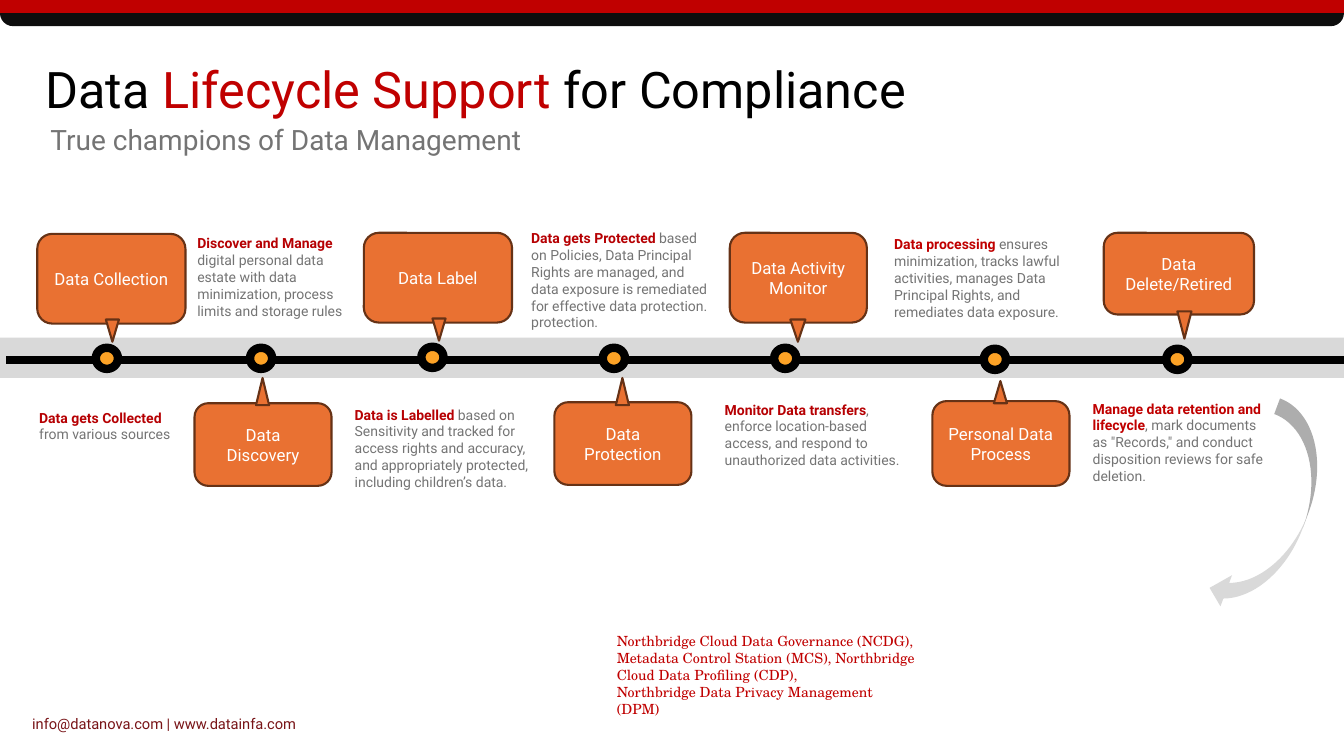
from dataclasses import dataclass
from typing import NamedTuple

from lxml import etree
from pptx import Presentation
from pptx import util as u
from pptx.dml.color import RGBColor
from pptx.enum import shapes, text
from pptx.oxml import ns

# Grid: square cells, ten to the inch
CELL = u.Inches(0.1)
COLUMNS, ROWS = 133.33, 75

BLACK = RGBColor(0x00, 0x00, 0x00)
CHARCOAL = RGBColor(0x0D, 0x0D, 0x0D)
WHITE = RGBColor(0xFF, 0xFF, 0xFF)
RED = RGBColor(0xC0, 0x00, 0x00)
DEEP_RED = RGBColor(0xB6, 0x00, 0x03)
MAROON = RGBColor(0x78, 0x14, 0x17)
GREY = RGBColor(0x74, 0x74, 0x74)
SILVER = RGBColor(0xD9, 0xD9, 0xD9)
ORANGE = RGBColor(0xE9, 0x71, 0x32)
BROWN = RGBColor(0x66, 0x32, 0x16)
AMBER = RGBColor(0xFC, 0xA2, 0x26)

SANS, SERIF = "Roboto", "TeX Gyre Schola"
PRESET = shapes.MSO_SHAPE
MARKER_WIDTH, MARKER_HEIGHT = 2.2, 2.1


class Area(NamedTuple):
    """Left, top, width and height in grid cells."""
    left: float
    top: float
    width: float
    height: float

    def lengths(self) -> list[int]:
        return [round(value * CELL) for value in self]


class Span(NamedTuple):
    words: str
    color: RGBColor
    bold: bool = False


@dataclass
class Stage:
    name: str
    label: Area
    tip: Area
    marker_left: float
    marker_top: float = 34.5

    @property
    def above(self) -> bool:
        return self.label.top < 33.5


@dataclass
class Note:
    area: Area
    lead: str
    rest: str
    lead_color: RGBColor = DEEP_RED
    inset: bool = False


STAGES = [
    Stage("Data Collection", Area(3.7, 23.2, 14.7, 8.9), Area(10.5, 31.7, 1.3, 2.2), 9.5),
    Stage("Data Discovery", Area(19.3, 40, 13.6, 8.2), Area(25.4, 37.5, 1.3, 2.7), 24.8),
    Stage("Data Label", Area(36.1, 23.1, 14.7, 8.9), Area(42.9, 31.6, 1.3, 2.2), 41.8, 34.4),
    Stage("Data Protection", Area(55, 39.9, 13.6, 8.2), Area(61.1, 37.5, 1.3, 2.7), 59.8),
    Stage("Data Activity Monitor", Area(72.4, 23.1, 13.6, 8.9), Area(78.4, 31.7, 1.5, 2.2), 76.8),
    Stage("Personal Data Process", Area(92.5, 39.8, 13.6, 8.4), Area(98.6, 37.8, 1.3, 2.2), 97.6, 34.6),
    Stage("Data Delete/Retired", Area(109.5, 23.1, 14.9, 8.1), Area(116.8, 30.9, 1.4, 2.7), 115.7, 34.6),
]

NOTES = [
    Note(Area(2.9, 40.1, 16.5, 4.4), "Data gets Collected ", "from various sources", inset=True),
    Note(Area(18.6, 22.8, 17.6, 9.4), "Discover and Manage ",
         "digital personal data estate with data minimization, process limits and storage rules",
         inset=True),
    Note(Area(34.2, 39.8, 19.9, 9.4), "Data is Labelled ",
         "based on Sensitivity and tracked for access rights and accuracy, "
         "and appropriately protected, including children’s data.", inset=True),
    Note(Area(52.7, 22.8, 17.7, 10.1), "Data gets Protected ",
         "based on Policies, Data Principal Rights are managed, and data exposure "
         "is remediated for effective data protection. protection."),
    Note(Area(71.9, 39.8, 17.6, 6.7), "Monitor Data transfers",
         ", enforce location-based access, and respond to unauthorized data activities."),
    Note(Area(88.7, 23.4, 18.1, 8.4), "Data processing ",
         "ensures minimization, tracks lawful activities, manages Data Principal Rights, "
         "and remediates data exposure.", RED),
    Note(Area(108.4, 39.7, 17.6, 8.4), "Manage data retention and lifecycle",
         ", mark documents as \"Records,\" and conduct disposition reviews for safe deletion.", RED),
]


def set_all(target: object, values: dict) -> None:
    for name, value in values.items():
        setattr(target, name, value)


def write(para, spans: list[Span], size: float, face: str = SANS) -> None:
    for span in spans:
        run = para.add_run()
        run.text = span.words
        set_all(run.font, {"size": u.Pt(size), "name": face, "bold": span.bold})
        run.font.color.rgb = span.color


def add_block(page, area: Area, paragraphs: list[list[Span]], size: float,
              face: str = SANS, inset: bool = False, spacing=None) -> None:
    frame = page.shapes.add_textbox(*area.lengths()).text_frame
    frame.word_wrap = True
    if not inset:
        set_all(frame, dict.fromkeys(
            ("margin_left", "margin_top", "margin_right", "margin_bottom"), 0))
    for index, spans in enumerate(paragraphs):
        para = frame.add_paragraph() if index else frame.paragraphs[0]
        para.line_spacing = spacing
        write(para, spans, size, face)


def add_form(page, preset, area: Area, fill: RGBColor, line: RGBColor | None = None,
             weight: float = 1.5, rotation: float = 0):
    form = page.shapes.add_shape(preset, *area.lengths())
    set_all(form, {"rotation": rotation})
    form.shadow.inherit = False
    form.fill.solid()
    form.fill.fore_color.rgb = fill
    if line is None:
        form.line.fill.background()
    else:
        form.line.color.rgb = line
        form.line.width = u.Pt(weight)
    return form


def add_spine(page, left: float, right: float, row: float) -> None:
    start, level, end = (round(value * CELL) for value in (left, row, right))
    spine = page.shapes.add_connector(shapes.MSO_CONNECTOR.STRAIGHT, start, level, end, level)
    spine.line.color.rgb = BLACK
    spine.line.width = u.Pt(6)
    etree.SubElement(spine._element.spPr, ns.qn("a:effectLst"))


def add_stage(page, stage: Stage) -> None:
    marker = Area(stage.marker_left, stage.marker_top, MARKER_WIDTH, MARKER_HEIGHT)
    add_form(page, PRESET.OVAL, marker, AMBER, BLACK, 6)
    box = add_form(page, PRESET.ROUNDED_RECTANGLE, stage.label, ORANGE, BROWN)
    set_all(box.text_frame, {"word_wrap": True, "vertical_anchor": text.MSO_ANCHOR.MIDDLE})
    para = box.text_frame.paragraphs[0]
    para.alignment = text.PP_ALIGN.CENTER
    write(para, [Span(stage.name, WHITE)], 12)
    add_form(page, PRESET.ISOSCELES_TRIANGLE, stage.tip, ORANGE, BROWN,
             rotation=180 if stage.above else 0)


def main() -> None:
    deck = Presentation()
    set_all(deck, {"slide_width": round(COLUMNS * CELL), "slide_height": ROWS * CELL})
    page = deck.slides.add_slide(deck.slide_layouts[6])

    # Top band and footer
    band = add_form(page, PRESET.ROUNDED_RECTANGLE, Area(0, 0, COLUMNS, 2.6), CHARCOAL)
    band.adjustments[0] = 0.5
    add_form(page, PRESET.FLOWCHART_PROCESS, Area(0, 0, COLUMNS, 1.3), RED)
    add_block(page, Area(3.2, 69.5, 53.7, 2.8),
              [[Span("info@datanova.com | www.datainfa.com", MAROON)]], 10.5, spacing=u.Pt(22.9))

    # Headings
    add_block(page, Area(4.5, 6.4, 115, 5.9),
              [[Span("Data ", BLACK), Span("Lifecycle Support ", RED),
                Span("for Compliance", BLACK)]], 36, spacing=0.9)
    add_block(page, Area(5, 12.5, 70.9, 3.6),
              [[Span("True champions of Data Management", GREY)]], 20, spacing=0.9)

    # Timeline
    add_form(page, PRESET.RECTANGLE, Area(0, 33.5, COLUMNS, 4), SILVER)
    add_spine(page, 0.6, COLUMNS, 35.7)
    for stage in STAGES:
        add_stage(page, stage)
    for note in NOTES:
        add_block(page, note.area, [[Span(note.lead, note.lead_color, True),
                                     Span(note.rest, GREY)]], 10, inset=note.inset)

    # Return arrow and tool list
    add_form(page, PRESET.CURVED_LEFT_ARROW, Area(123, 40, 6.6, 21.7), SILVER, rotation=20.4)
    tools = ["Northbridge Cloud Data Governance (NCDG), Metadata Control Station (MCS), "
             "Northbridge Cloud Data Profiling (CDP),",
             "Northbridge Data Privacy Management (DPM)"]
    add_block(page, Area(60.2, 62.3, 31.5, 7.7), [[Span(tool, RED)] for tool in tools],
              10, SERIF, inset=True)

    deck.save("out.pptx")


if __name__ == "__main__":
    main()
